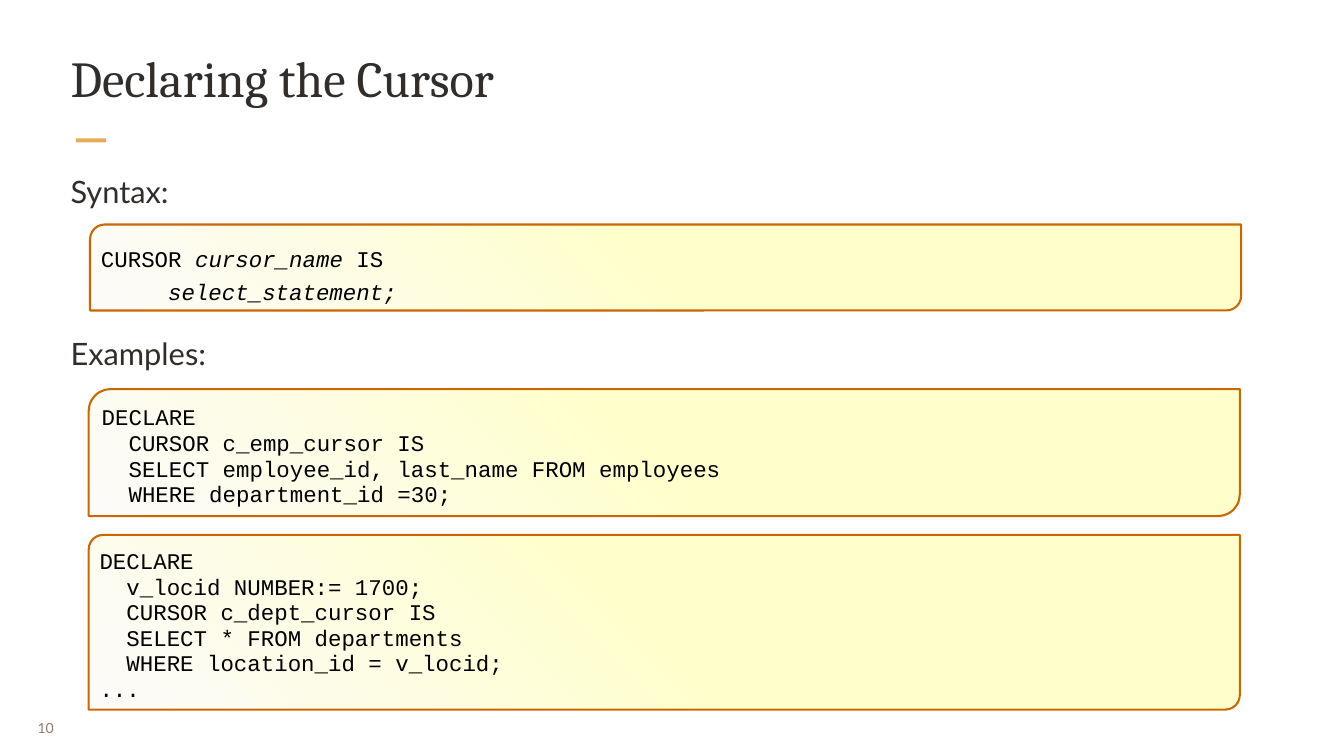
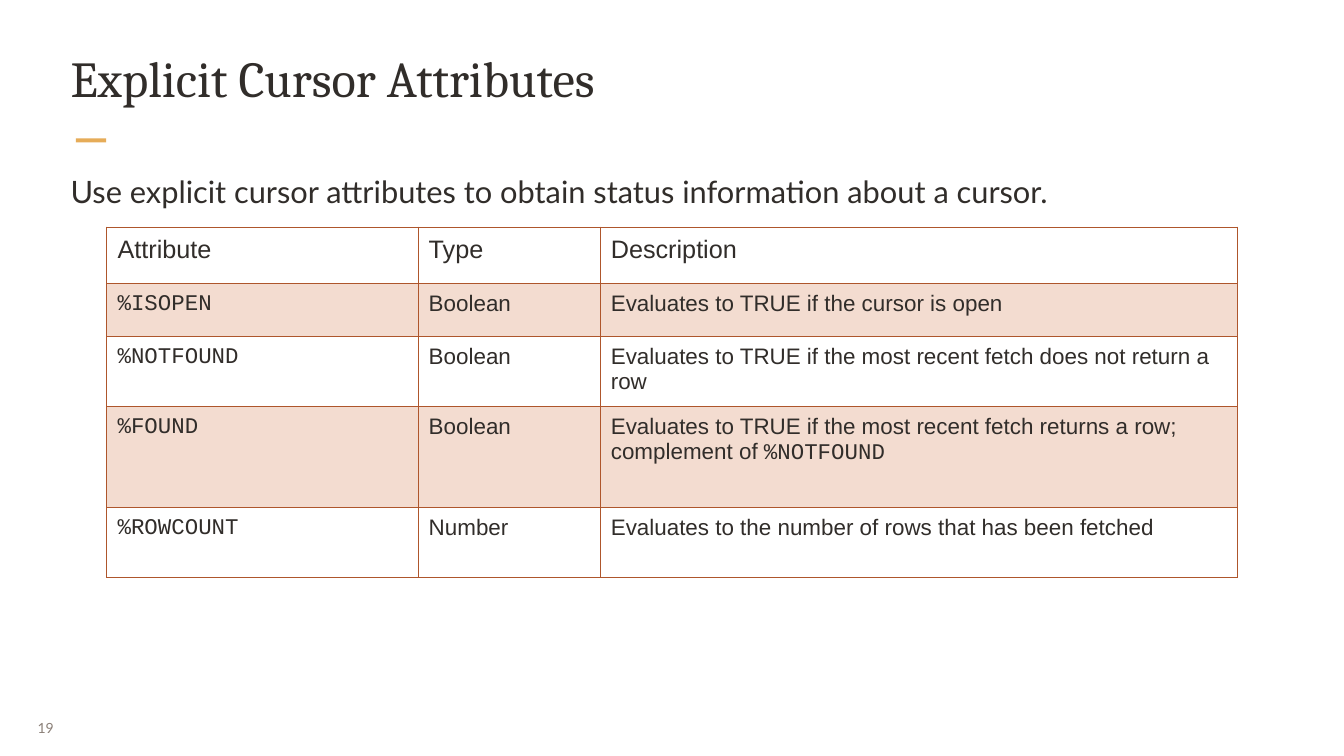
"""Build two slides on explicit cursors: declaring them and their attributes."""
import copy
import dataclasses

import lxml.etree
import pptx
import pptx.dml.color
import pptx.enum.shapes
import pptx.enum.text
import pptx.oxml.ns
import pptx.util

Inches = pptx.util.Inches
Pt = pptx.util.Pt
qn = pptx.oxml.ns.qn
Shape = pptx.enum.shapes.MSO_SHAPE
Align = pptx.enum.text.PP_ALIGN
Anchor = pptx.enum.text.MSO_ANCHOR


def style(name, size, color):
    """Return the font values for one kind of text."""
    return {"name": name, "size": Pt(size), "color": color}


@dataclasses.dataclass(frozen=True)
class Theme:
    """Colours and type styles of the deck."""
    ink = "312D2A"
    accent = "E6AC58"
    edge = "CC6600"
    grid = "AE562C"
    band = "F3DCD0"
    fade = ((0, "FFFFCC"), (0.5, "FFFFCC"), (1, "FCFBFA"))
    title = style("Cambria", 54, ink)
    body = style("Lato", 33, ink)
    page = style("Lato", 15, "8B8078")
    code = style("Courier New", 24, "000000")
    head = style("Arial", 27, ink)
    cell = style("Arial", 24, ink)
    mono = style("Courier New", 24, ink)


THEME = Theme()
ITALIC = {"italic": True}

SYNTAX = [
    ["CURSOR ", ("cursor_name ", ITALIC), "IS"],
    ["     ", ("select_statement;", ITALIC)],
]
STAFF = """DECLARE
  CURSOR c_emp_cursor IS
  SELECT employee_id, last_name FROM employees
  WHERE department_id =30;"""
PLACES = """DECLARE
  v_locid NUMBER:= 1700;
  CURSOR c_dept_cursor IS
  SELECT * FROM departments
  WHERE location_id = v_locid;
..."""
ROWS = [
    ("Attribute", "Type", "Description"),
    ("%ISOPEN", "Boolean", "Evaluates to TRUE if the cursor is open"),
    ("%NOTFOUND", "Boolean",
     "Evaluates to TRUE if the most recent fetch does not return a row"),
    ("%FOUND", "Boolean",
     ["Evaluates to TRUE if the most recent fetch returns a row; complement of ",
      ("%NOTFOUND", THEME.mono)]),
    ("%ROWCOUNT", "Number",
     "Evaluates to the number of rows that has been fetched"),
]


def rgb(color):
    """Turn a hex string into a colour."""
    return pptx.dml.color.RGBColor.from_string(color)


def assign(target, values):
    """Set each value of a dict on the target."""
    for key, value in values.items():
        if key == "color":
            target.color.rgb = rgb(value)
        else:
            setattr(target, key, value)


def margins(left, top, right, bottom):
    """Return the four text margins as values to set."""
    sides = ("left", "top", "right", "bottom")
    return {f"margin_{side}": Inches(gap)
            for side, gap in zip(sides, (left, top, right, bottom))}


def write(frame, lines, font, **layout):
    """Fill a text frame; a line is a string or a list of runs."""
    if isinstance(lines, str):
        lines = lines.split("\n")
    for index, line in enumerate(lines):
        para = frame.add_paragraph() if index else frame.paragraphs[0]
        assign(para, {"alignment": Align.LEFT, **layout})
        for part in [line] if isinstance(line, str) else line:
            words, extra = (part, {}) if isinstance(part, str) else part
            run = para.add_run()
            run.text = words
            assign(run.font, {**font, **extra})


def add_text(slide, box, lines, font, gaps=(0.03,) * 4,
             anchor=Anchor.TOP, **layout):
    """Add a wrapped text box."""
    frame = slide.shapes.add_textbox(*map(Inches, box)).text_frame
    assign(frame, {"word_wrap": True, "vertical_anchor": anchor,
                   **margins(*gaps)})
    write(frame, lines, font, **layout)


def add_body(slide, top, words):
    """Add a line of body text."""
    add_text(slide, (1.02, top, 17.96, 0.62), words, THEME.body,
             line_spacing=1.1)


def add_code(slide, box, lines, bend, space=0.95, anchor=Anchor.TOP):
    """Add a code panel with two round corners and a colour fade."""
    panel = slide.shapes.add_shape(Shape.ROUND_2_DIAG_RECTANGLE,
                                   *map(Inches, box))
    panel.shadow.inherit = False
    panel.adjustments[0] = bend
    assign(panel.line, {"color": THEME.edge, "width": Pt(2.25)})
    panel.fill.gradient()
    panel.fill.gradient_angle = 225
    stops = panel.element.find(".//" + qn("a:gsLst"))
    stops.insert(1, copy.deepcopy(stops[0]))
    for stop, (place, color) in zip(panel.fill.gradient_stops, THEME.fade):
        assign(stop, {"position": place, "color": color})
    assign(panel.text_frame, {"word_wrap": True, "vertical_anchor": anchor,
                              **margins(0.1, 0.15, 0.02, 0.02)})
    write(panel.text_frame, lines, THEME.code, line_spacing=space)


def add_edges(cell):
    """Draw the four borders of a cell."""
    props = cell._tc.get_or_add_tcPr()
    for index, side in enumerate("LRTB"):
        line = lxml.etree.Element(qn(f"a:ln{side}"), w=str(Pt(1)))
        fill = lxml.etree.SubElement(line, qn("a:solidFill"))
        lxml.etree.SubElement(fill, qn("a:srgbClr"), val=THEME.grid)
        props.insert(index, line)


def add_grid(slide, box, rows, widths, heights):
    """Add the table with a tint on every other row."""
    table = slide.shapes.add_table(len(rows), len(widths),
                                   *map(Inches, box)).table
    assign(table, {"first_row": False, "horz_banding": False})
    for column, width in zip(table.columns, widths):
        column.width = Inches(width)
    for y, (row, height) in enumerate(zip(rows, heights)):
        table.rows[y].height = Inches(height)
        for x, words in enumerate(row):
            cell = table.cell(y, x)
            assign(cell, margins(0.16, 0.12, 0.16, 0.12))
            if y % 2:
                cell.fill.solid()
                cell.fill.fore_color.rgb = rgb(THEME.band)
            else:
                cell.fill.background()
            add_edges(cell)
            font = THEME.head if y == 0 else THEME.cell if x else THEME.mono
            write(cell.text_frame, [words], font)


def add_slide(deck, title, page):
    """Add a slide with its title, accent bar and page number."""
    slide = deck.slides.add_slide(deck.slide_layouts[6])
    bar = slide.shapes.add_shape(Shape.RECTANGLE,
                                 *map(Inches, (1.13, 2.06, 0.45, 0.06)))
    bar.shadow.inherit = False
    bar.fill.solid()
    bar.fill.fore_color.rgb = rgb(THEME.accent)
    bar.line.fill.background()
    add_text(slide, (0.43, 10.54, 0.65, 0.58), page, THEME.page,
             (0.13, 0.07, 0.13, 0.07), Anchor.MIDDLE,
             alignment=Align.JUSTIFY)
    add_text(slide, (1.02, 0.67, 17.96, 1.28), title, THEME.title)
    return slide


def main():
    """Build and save the deck."""
    deck = pptx.Presentation()
    assign(deck, {"slide_width": Inches(20), "slide_height": Inches(11.25)})

    slide = add_slide(deck, "Declaring the Cursor", "10")
    add_code(slide, (1.32, 7.96, 17.13, 2.6), PLACES, 0.083)
    add_code(slide, (1.32, 5.79, 17.13, 1.89), STAFF, 0.172)
    add_code(slide, (1.34, 3.34, 17.13, 1.28), SYNTAX, 0.172, 1.25,
             Anchor.MIDDLE)
    add_body(slide, 2.49, "Syntax:")
    add_body(slide, 4.9, "Examples:")

    slide = add_slide(deck, "Explicit Cursor Attributes", "19")
    add_body(slide, 2.49, "Use explicit cursor attributes to obtain status "
                          "information about a cursor.")
    add_grid(slide, (1.59, 3.38, 16.83, 5.21), ROWS, (4.63, 2.71, 9.49),
             (0.84, 0.79, 1.04, 1.5, 1.04))

    deck.save("out.pptx")


if __name__ == "__main__":
    main()
